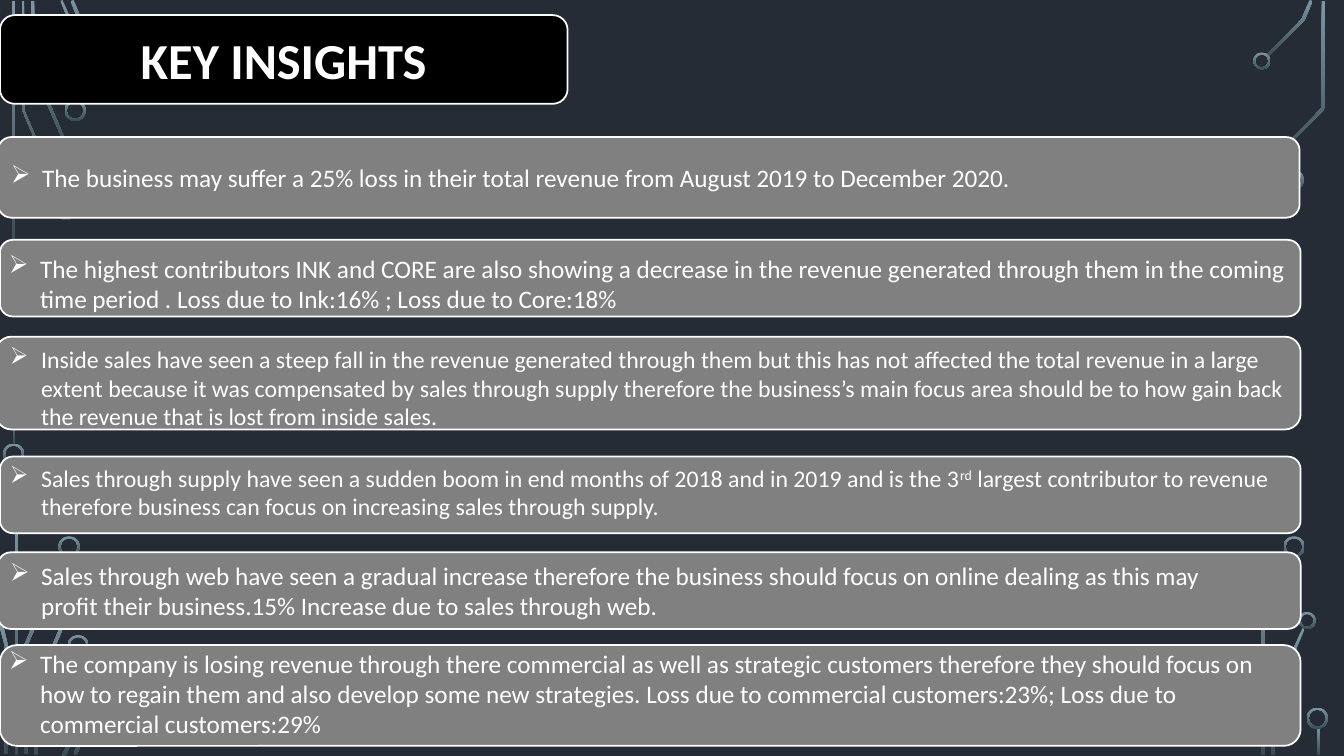
from dataclasses import dataclass

from lxml.etree import SubElement
from pptx import Presentation
from pptx.dml.color import RGBColor
from pptx.enum.shapes import MSO_SHAPE as Shape
from pptx.enum.text import MSO_ANCHOR as Anchor, PP_ALIGN as Align
from pptx.oxml.ns import qn
from pptx.util import Inches, Pt


@dataclass(frozen=True)
class Theme:
    font: str = "Calibri"
    background: str = "252C36"
    trace_light: str = "7C96A3"
    trace_dark: str = "3B4C54"
    title_fill: str = "000000"
    insight_fill: str = "808080"
    white: str = "FFFFFF"
    title_size: float = 36
    body_size: float = 18
    dense_size: float = 17
    outline: float = 1.25
    trace_width: float = 0.03
    ring_width: float = 0.02


# Circuit traces: left, top, height of the straight ones
STRAIGHT_TRACES = [(0.12, 0.01, 2.39), (0.15, 5.1, 2.39), (13.06, 7.21, 0.28)]

# Circuit traces: corner points of the bent ones
BENT_TRACES = [
    [(0.6, 1.99), (0.22, 1.09), (0.22, 0.01), (0.24, 0.01), (0.24, 1.09), (0.62, 1.98)],
    [(0.7, 1.57), (0.31, 0.67), (0.31, 0.01), (0.34, 0.01), (0.34, 0.66), (0.72, 1.56)],
    [(0.76, 1), (0.73, 1), (0.73, 0.33), (0.6, 0.01), (0.62, 0), (0.76, 0.33)],
    [(1.15, 0.58), (0.78, 0.21), (0.7, 0.01), (0.73, 0), (0.81, 0.2), (1.16, 0.56)],
    [(0.15, 4.41), (0.13, 4.41), (0.13, 4.02), (-0.01, 3.9), (0.01, 3.88), (0.15, 4)],
    [(0.27, 7.48), (0.24, 7.48), (0.24, 6.4), (0.62, 5.51), (0.65, 5.52), (0.27, 6.41)],
    [(0.08, 7.48), (0.05, 7.48), (0.05, 6.41), (-0.02, 6.16), (0.02, 6.15), (0.08, 6.41)],
    [(0.37, 7.49), (0.34, 7.49), (0.34, 6.82), (0.72, 5.93), (0.75, 5.94), (0.37, 6.83)],
    [(0.65, 7.5), (0.62, 7.49), (0.76, 7.17), (0.76, 6.5), (0.79, 6.5), (0.79, 7.17)],
    [(0.76, 7.49), (0.73, 7.48), (0.81, 7.28), (1.17, 6.92), (1.19, 6.94), (0.84, 7.3)],
    [(12.58, 0.56), (12.56, 0.55), (12.91, 0.19), (12.99, 0), (13.02, 0.01), (12.94, 0.2)],
    [(12.64, 7.49), (12.61, 7.49), (12.61, 6.93), (12.92, 6.23), (12.94, 6.24), (12.64, 6.94)],
    [(12.83, 1.69), (12.81, 1.69), (12.81, 1.38), (13.11, 1.07), (13.11, 0.01),
     (13.14, 0.01), (13.14, 1.08), (12.83, 1.39)],
    [(12.54, 7.49), (12.51, 7.49), (12.51, 6.13), (12.82, 5.83), (12.82, 5.52),
     (12.85, 5.52), (12.85, 5.84), (12.54, 6.14)],
]

# Circuit nodes: diameter, then left and top of each ring
NODES = {
    0.21: [(0.04, 2.38), (0.03, 4.4), (0.55, 1.97), (0.64, 0.99), (0.58, 5.32),
           (0.67, 6.3), (12.72, 1.68), (12.73, 5.32), (12.96, 7.02)],
    0.17: [(12.43, 0.52), (12.88, 6.07)],
}

THEME = Theme()

# Panel box, text box, type size, text runs as (wording, superscript)
INSIGHTS = [
    ((-0.02, 1.36, 12.91, 0.8), (0.01, 1.56, 12.38, 0.5), THEME.body_size,
     [("The business may suffer a 25% loss in their total revenue from August 2019 "
       "to December 2020.", False)]),
    ((0, 2.38, 12.9, 0.76), (-0.01, 2.46, 12.9, 0.71), THEME.body_size,
     [("The highest contributors INK and CORE are also showing a decrease in the revenue "
       "generated through them in the coming time period . Loss due to Ink:16% ; "
       "Loss due to Core:18%", False)]),
    ((-0.04, 3.34, 12.94, 0.92), (0, 3.37, 13, 0.96), THEME.dense_size,
     [("Inside sales have seen a steep fall in the revenue generated through them but this "
       "has not affected the total revenue in a large extent because it was compensated by "
       "sales through supply therefore the business’s main focus area should be to how gain "
       "back the revenue that is lost from inside sales.", False)]),
    ((0, 4.53, 12.9, 0.76), (0, 4.55, 12.87, 0.67), THEME.dense_size,
     [("Sales through supply have seen a sudden boom in end months of 2018 and in 2019 "
       "and is the 3", False),
      ("rd", True),
      (" largest contributor to revenue therefore business can focus on increasing sales "
       "through supply.", False)]),
    ((-0.02, 5.48, 12.92, 0.76), (0, 5.51, 12.57, 0.71), THEME.body_size,
     [("Sales through web have seen a gradual increase therefore the business should focus "
       "on online dealing as this may profit their business.15% Increase due to sales "
       "through web.", False)]),
    ((0, 6.4, 12.9, 1), (-0.01, 6.38, 12.67, 1.01), THEME.body_size,
     [("The company is losing revenue through there commercial as well as strategic "
       "customers therefore they should focus on how to regain them and also develop some "
       "new strategies. Loss due to commercial customers:23%; Loss due to commercial "
       "customers:29%", False)]),
]


def rgb(code):
    return RGBColor.from_string(code)


def add_text(paragraph, text, *, size, color, font, bold=False, superscript=False):
    run = paragraph.add_run()
    run.text = text
    run.font.size, run.font.bold, run.font.name = Pt(size), bold, font
    run.font.color.rgb = rgb(color)
    if superscript:
        run._r.get_or_add_rPr().set("baseline", "30000")


def add_bullet(paragraph, mark, indent):
    """Give the paragraph a hanging indent and a bullet mark."""
    props = paragraph._p.get_or_add_pPr()
    props.set("marL", str(Inches(indent)))
    props.set("indent", str(-Inches(indent)))
    SubElement(props, qn("a:buChar")).set("char", mark)


class SlideBuilder:
    def __init__(self, slide, theme):
        self.slide, self.shapes, self.theme = slide, slide.shapes, theme
        background = slide.background.fill
        background.solid()
        background.fore_color.rgb = rgb(theme.background)

    def preset(self, kind, box):
        shape = self.shapes.add_shape(kind, *map(Inches, box))
        shape.shadow.inherit = False
        return shape

    def metal(self, shape):
        """Fill a circuit part from light at the top to dark at the bottom."""
        shape.shadow.inherit = False
        shape.line.fill.background()
        shape.fill.gradient()
        shape.fill.gradient_angle = 270
        shades = (self.theme.trace_light, self.theme.trace_dark)
        for stop, shade in zip(shape.fill.gradient_stops, shades):
            stop.color.rgb = rgb(shade)

    def straight_trace(self, left, top, height):
        self.metal(self.preset(Shape.RECTANGLE, (left, top, self.theme.trace_width, height)))

    def bent_trace(self, corners):
        start, *rest = [(Inches(x), Inches(y)) for x, y in corners]
        outline = self.shapes.build_freeform(*start)
        outline.add_line_segments(rest, close=True)
        self.metal(outline.convert_to_shape())

    def node(self, left, top, diameter):
        ring = self.preset(Shape.DONUT, (left, top, diameter, diameter))
        ring.adjustments[0] = self.theme.ring_width / diameter
        self.metal(ring)

    def panel(self, box, fill):
        panel = self.preset(Shape.ROUNDED_RECTANGLE, box)
        panel.fill.solid()
        panel.fill.fore_color.rgb = rgb(fill)
        panel.line.color.rgb = rgb(self.theme.white)
        panel.line.width = Pt(self.theme.outline)
        return panel

    def title(self, text, box):
        frame = self.panel(box, self.theme.title_fill).text_frame
        frame.vertical_anchor = Anchor.MIDDLE
        heading = frame.paragraphs[0]
        heading.alignment = Align.CENTER
        add_text(heading, text, size=self.theme.title_size, color=self.theme.white,
                 font=self.theme.font, bold=True)

    def insight(self, panel_box, text_box, size, runs):
        self.panel(panel_box, self.theme.insight_fill)
        frame = self.shapes.add_textbox(*map(Inches, text_box)).text_frame
        frame.word_wrap = True
        statement = frame.paragraphs[0]
        add_bullet(statement, "➢", 0.31)
        for text, superscript in runs:
            add_text(statement, text, size=size, color=self.theme.white,
                     font=self.theme.font, superscript=superscript)


def main():
    deck = Presentation()
    deck.slide_width, deck.slide_height = Inches(13.33), Inches(7.5)
    builder = SlideBuilder(deck.slides.add_slide(deck.slide_layouts[6]), THEME)
    for trace in STRAIGHT_TRACES:
        builder.straight_trace(*trace)
    for corners in BENT_TRACES:
        builder.bent_trace(corners)
    for diameter, places in NODES.items():
        for left, top in places:
            builder.node(left, top, diameter)
    builder.title("KEY INSIGHTS", (0, 0.15, 5.63, 0.88))
    for insight in INSIGHTS:
        builder.insight(*insight)
    deck.save("out.pptx")


if __name__ == "__main__":
    main()
